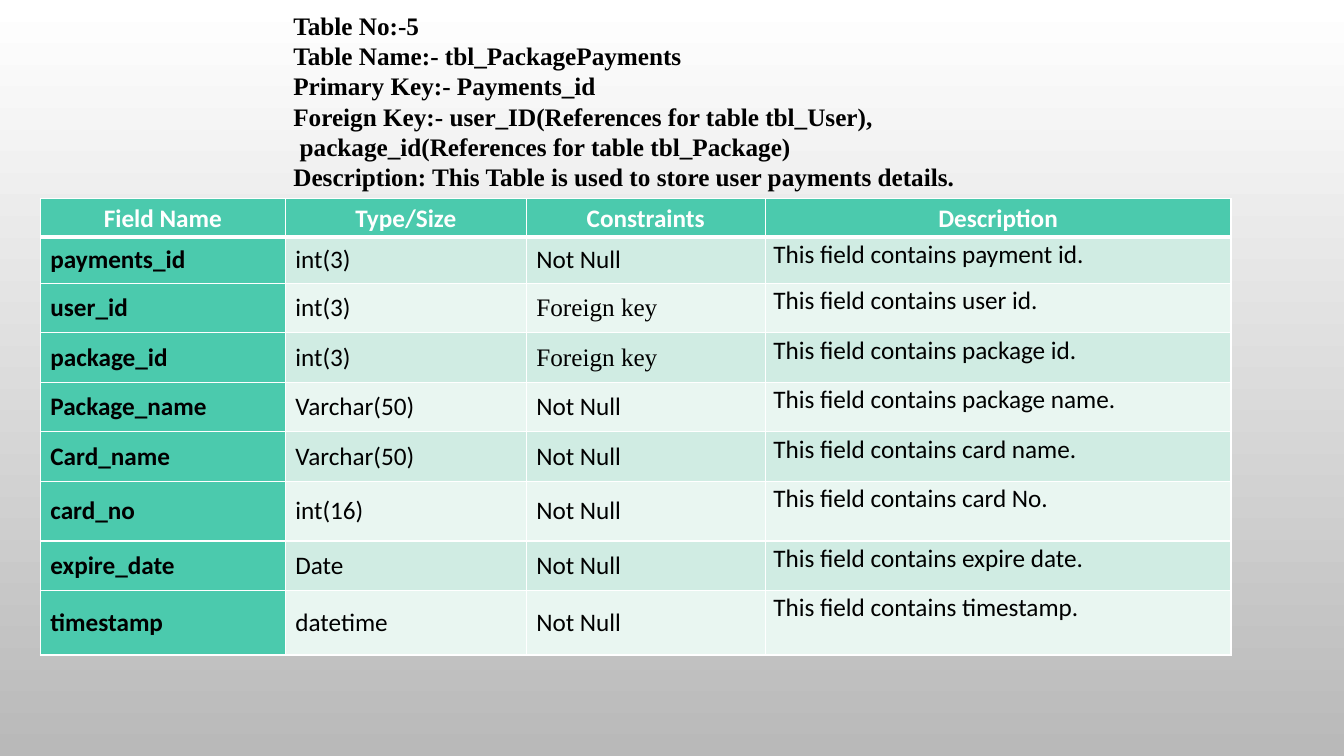
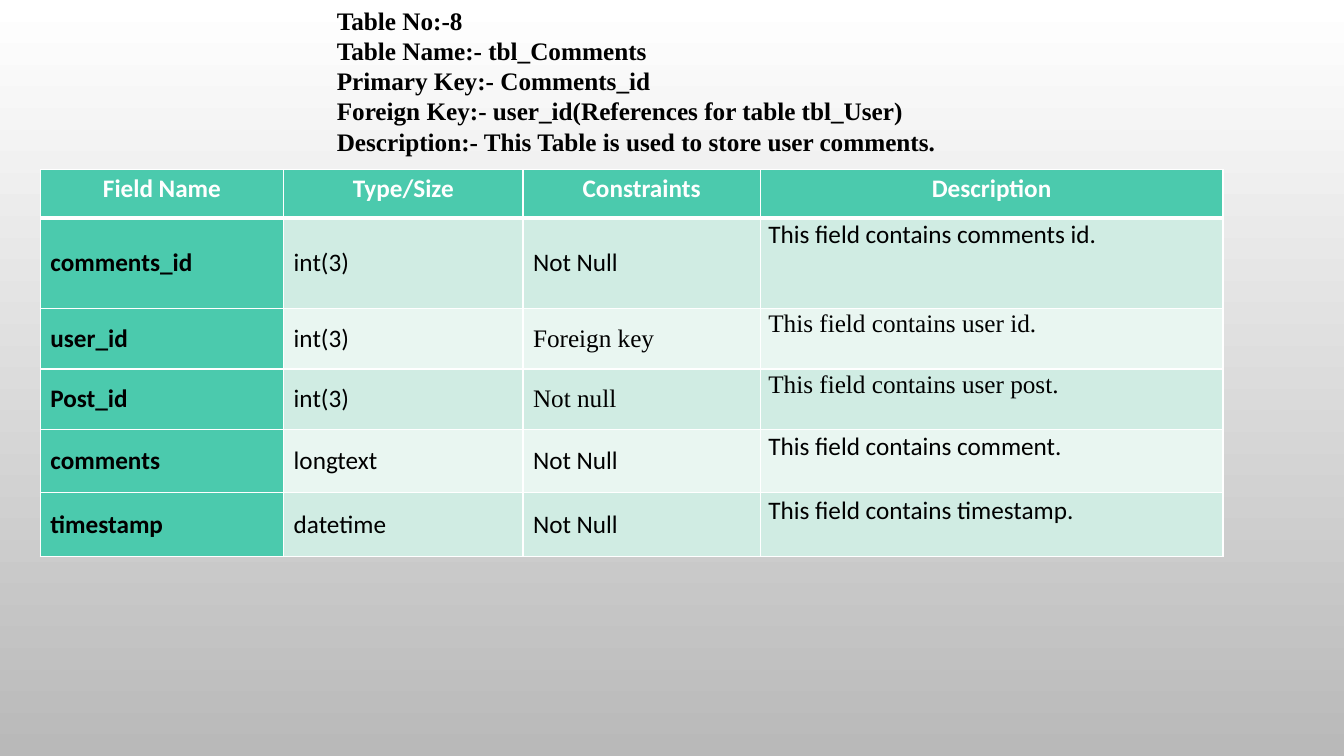
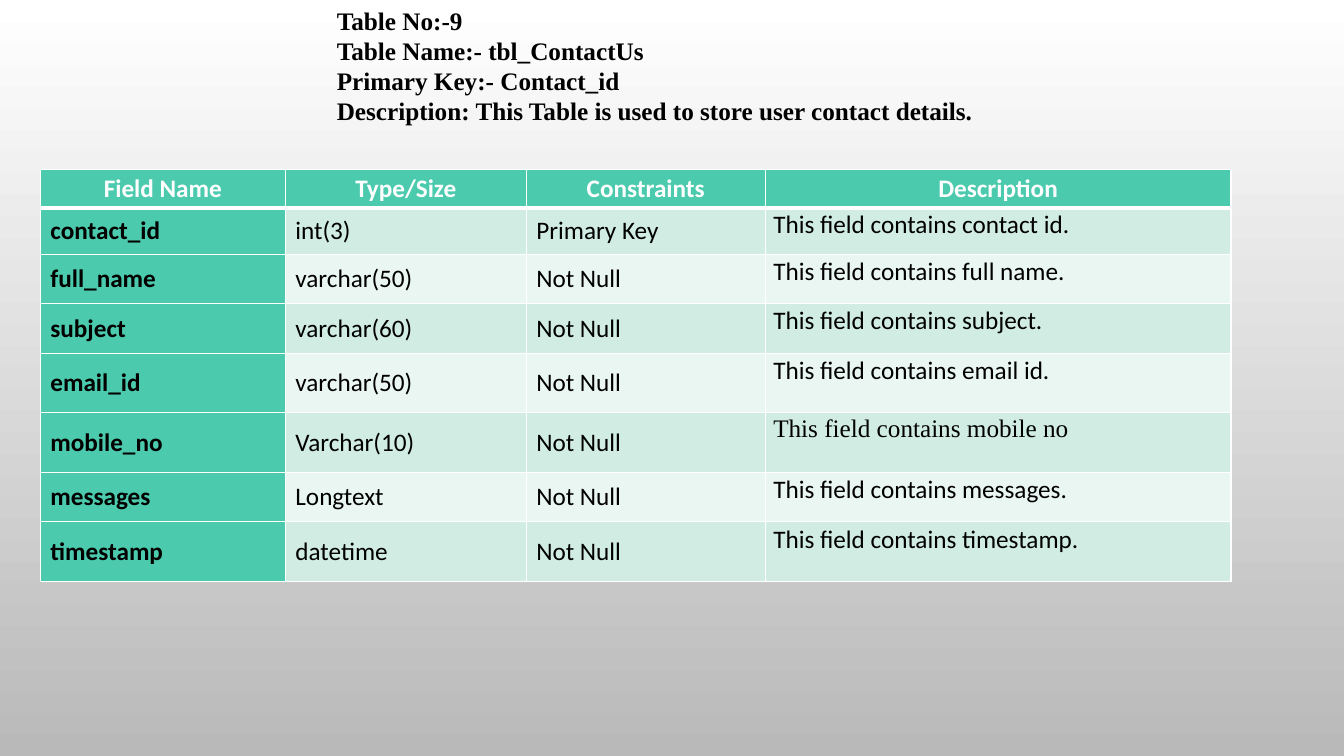
from pptx import Presentation
from pptx import util as u
from pptx.dml.color import RGBColor
from pptx.enum import text
from pptx.oxml import parse_xml
from pptx.oxml.ns import nsdecls

WIDTH, HEIGHT = u.Inches(13.33), u.Inches(7.5)
SANS, SERIF = "Calibri", "Times New Roman"
BLACK, WHITE, GREY = "000000", "FFFFFF", "B9B9B9"
GREEN, BANDS = "4BCAAD", ("D0ECE3", "E9F6F1")
HEADERS = ("Field Name", "Type/Size", "Constraints", "Description")
COLUMN_SHARES = (2.43, 2.39, 2.37, 4.62)

# Boxes are left, top, width, height in percent of the slide.
# A field is row height, name, type, constraint, what it contains.
# Serif cells are (row, column) pairs.
SLIDES = [
    {
        "title_box": (21.08, 0.67, 74.42, 25.6),
        "title": (
            "Table No:-5",
            "Table Name:- tbl_PackagePayments",
            "Primary Key:- Payments_id",
            "Foreign Key:- user_ID(References for table tbl_User),",
            " package_id(References for table tbl_Package)",
            "Description: This Table is used to store user payments details.",
        ),
        "table_box": (3, 26.27, 88.6, 60.4),
        "header_height": 0.38,
        "serif": {(2, 2), (3, 2)},
        "fields": (
            (0.46, "payments_id", "int(3)", "Not Null", "payment id."),
            (0.49, "user_id", "int(3)", "Foreign key", "user id."),
            (0.49, "package_id", "int(3)", "Foreign key", "package id."),
            (0.49, "Package_name", "Varchar(50)", "Not Null", "package name."),
            (0.49, "Card_name", "Varchar(50)", "Not Null", "card name."),
            (0.59, "card_no", "int(16)", "Not Null", "card No."),
            (0.49, "expire_date", "Date", "Not Null", "expire date."),
            (0.64, "timestamp", "datetime", "Not Null", "timestamp."),
        ),
    },
    {
        "title_box": (24.31, 0, 63.77, 21.6),
        "title": (
            "Table No:-8",
            "Table Name:- tbl_Comments",
            "Primary Key:- Comments_id",
            "Foreign Key:- user_id(References for table tbl_User)",
            "Description:- This Table is used to store user comments.",
        ),
        "table_box": (3, 22.4, 88, 51.2),
        "header_height": 0.48,
        "serif": {(2, 2), (2, 3), (3, 2), (3, 3)},
        "fields": (
            (0.9, "comments_id", "int(3)", "Not Null", "comments id."),
            (0.6, "user_id", "int(3)", "Foreign key", "user id."),
            (0.6, "Post_id", "int(3)", "Not null", "user post."),
            (0.63, "comments", "longtext", "Not Null", "comment."),
            (0.63, "timestamp", "datetime", "Not Null", "timestamp."),
        ),
    },
    {
        "title_box": (24.31, 0, 63.77, 17.47),
        "title": (
            "Table No:-9",
            "Table Name:- tbl_ContactUs",
            "Primary Key:- Contact_id",
            "Description: This Table is used to store user contact details.",
        ),
        "table_box": (3, 22.4, 88.6, 54.53),
        "header_height": 0.38,
        "serif": {(5, 3)},
        "fields": (
            (0.46, "contact_id", "int(3)", "Primary Key", "contact id."),
            (0.49, "full_name", "varchar(50)", "Not Null", "full name."),
            (0.49, "subject", "varchar(60)", "Not Null", "subject."),
            (0.59, "email_id", "varchar(50)", "Not Null", "email id."),
            (0.59, "mobile_no", "Varchar(10)", "Not Null", "mobile no"),
            (0.49, "messages", "Longtext", "Not Null", "messages."),
            (0.59, "timestamp", "datetime", "Not Null", "timestamp."),
        ),
    },
]


def color(hex_string):
    return RGBColor.from_string(hex_string)


def place(box):
    """Turn a box in percent of the slide into lengths."""
    return [u.Emu(int(share * side / 100))
            for share, side in zip(box, (WIDTH, HEIGHT) * 2)]


def shares(total, weights):
    return [u.Emu(int(total * weight / sum(weights))) for weight in weights]


def style(para, font_name, font_color, bold):
    font = para.font
    font.name, font.size, font.bold = font_name, u.Pt(18), bold
    font.color.rgb = color(font_color)


def paint_background(master):
    fill = master.background.fill
    fill.gradient()
    fill.gradient_angle = 270
    for stop, shade in zip(fill.gradient_stops, (WHITE, GREY)):
        stop.color.rgb = color(shade)


def add_title(page, box, lines):
    title = page.shapes.title
    title.left, title.top, title.width, title.height = place(box)
    frame = title.text_frame
    frame.word_wrap = True
    frame.auto_size = text.MSO_AUTO_SIZE.NONE
    frame.vertical_anchor = text.MSO_ANCHOR.TOP
    frame.text = "\n".join(lines)
    for para in frame.paragraphs:
        para.alignment = text.PP_ALIGN.LEFT
        style(para, SERIF, BLACK, True)


def add_borders(cell, row):
    # The rule under the header belongs to both rows that meet there
    widths = {"L": 1, "R": 1, "T": 3 if row == 1 else 1, "B": 3 if row == 0 else 1}
    for side, points in widths.items():
        cell._tc.get_or_add_tcPr().append(parse_xml(
            f'<a:ln{side} {nsdecls("a")} w="{u.Pt(points)}"><a:solidFill>'
            f'<a:srgbClr val="{WHITE}"/></a:solidFill></a:ln{side}>'))


def fill_cell(cell, row, column, words, font_name):
    is_header, is_name = row == 0, column == 0
    add_borders(cell, row)
    cell.fill.solid()
    cell.fill.fore_color.rgb = color(
        GREEN if is_header or is_name else BANDS[(row - 1) % 2])
    cell.text = words
    para = cell.text_frame.paragraphs[0]
    style(para, font_name, WHITE if is_header else BLACK, is_header or is_name)
    if is_header or column == 3:
        cell.vertical_anchor = text.MSO_ANCHOR.TOP
        cell.margin_left = cell.margin_right = u.Inches(0.08)
        cell.margin_top = cell.margin_bottom = 0
        para.line_spacing = 1.15 if is_header else 1.07
        para.space_after = u.Pt(8)
    else:
        cell.vertical_anchor = text.MSO_ANCHOR.MIDDLE
    if is_header:
        para.alignment = text.PP_ALIGN.CENTER


def add_field_table(page, box, header_height, fields, serif):
    left, top, width, height = place(box)
    rows = [HEADERS] + [(*field[1:4], f"This field contains {field[4]}")
                        for field in fields]
    table = page.shapes.add_table(
        len(rows), len(HEADERS), left, top, width, height).table
    for column, size in zip(table.columns, shares(width, COLUMN_SHARES)):
        column.width = size
    heights = [header_height] + [field[0] for field in fields]
    for row, size in zip(table.rows, shares(height, heights)):
        row.height = size
    for r, row in enumerate(rows):
        for c, words in enumerate(row):
            font_name = SERIF if (r, c) in serif else SANS
            fill_cell(table.cell(r, c), r, c, words, font_name)


def main():
    deck = Presentation()
    deck.slide_width, deck.slide_height = WIDTH, HEIGHT
    paint_background(deck.slide_master)
    title_only = deck.slide_layouts[5]
    for content in SLIDES:
        page = deck.slides.add_slide(title_only)
        add_title(page, content["title_box"], content["title"])
        add_field_table(page, content["table_box"], content["header_height"],
                        content["fields"], content["serif"])
    deck.save("out.pptx")


if __name__ == "__main__":
    main()
